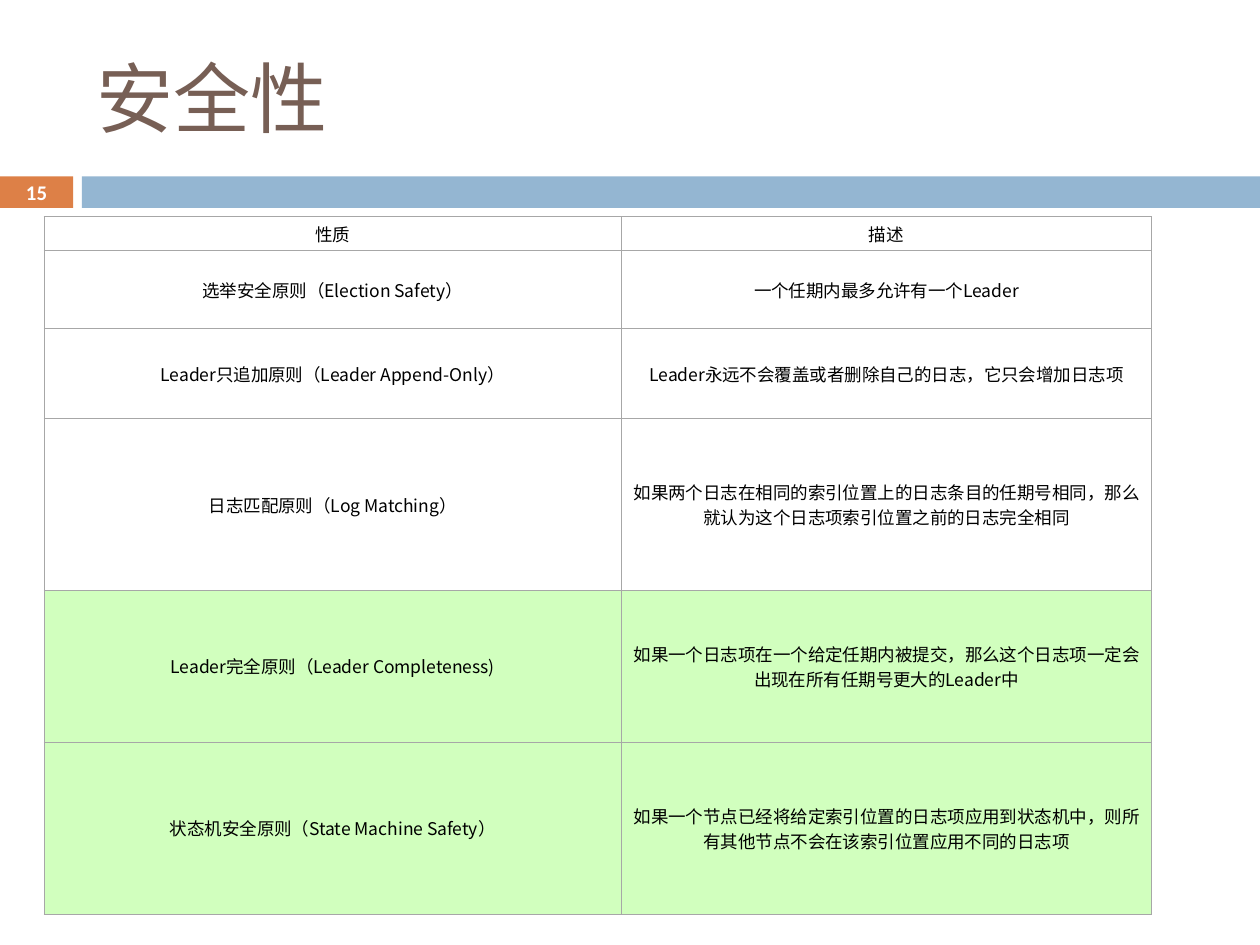
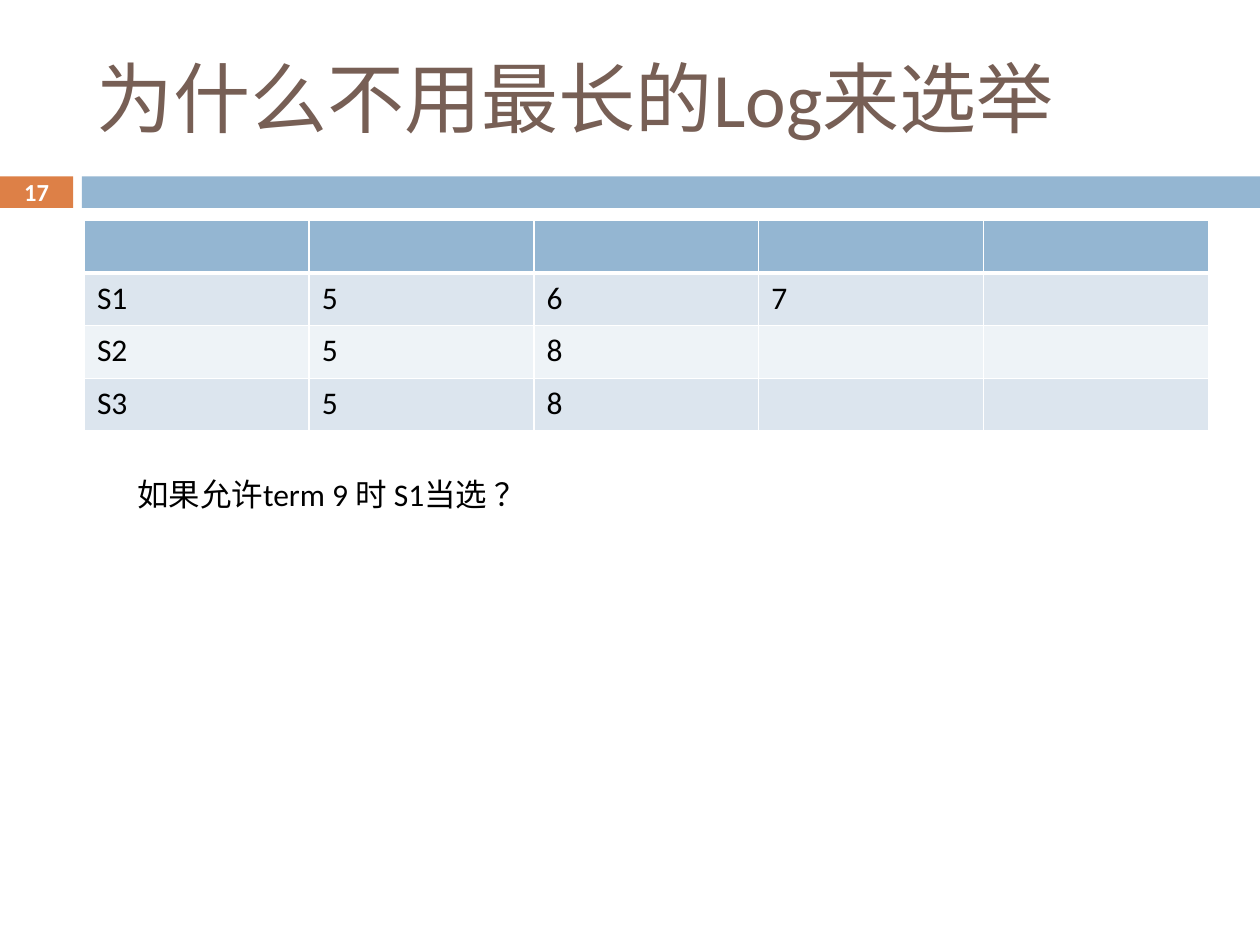
"""Build two slides on Raft safety: a table of properties and a log election question."""
from dataclasses import dataclass
from typing import Optional

import lxml.etree
import pptx
import pptx.dml.color
import pptx.enum.shapes
import pptx.enum.text
import pptx.oxml.ns
import pptx.util

Align = pptx.enum.text.PP_ALIGN
Anchor = pptx.enum.text.MSO_ANCHOR
COLS, ROWS = 100, 75
PRS_W, PRS_H = pptx.util.Inches(10), pptx.util.Inches(7.5)


@dataclass(frozen=True)
class Theme:
    """Colours, fonts and type sizes of the deck."""
    white: str = "FFFFFF"
    black: str = "000000"
    title: str = "775F55"
    orange: str = "DD8047"
    blue: str = "94B6D2"
    band_dark: str = "DCE5EE"
    band_light: str = "EEF3F7"
    green: str = "D1FFBE"
    grey: str = "A7A7A7"
    latin: str = "Calibri"
    cjk: str = "Noto Sans CJK SC"
    title_size: float = 44
    body_size: float = 18
    small_size: float = 10


@dataclass(frozen=True)
class Box:
    """Place on the grid, in columns and rows."""
    left: float
    top: float
    width: float
    height: float

    def place(self) -> tuple[int, int, int, int]:
        """Return the place in EMU."""
        return across(self.left), down(self.top), across(self.width), down(self.height)


@dataclass(frozen=True)
class Type:
    """Look of a paragraph."""
    size: float
    color: str
    font: str
    bold: bool = False
    align: Align = Align.LEFT


@dataclass(frozen=True)
class TableSpec:
    """Content and look of a table."""
    left: float
    top: float
    widths: list[float]
    heights: list[float]
    rows: list[list[str]]
    fills: list[str]
    style: Type
    border: str
    weight: float
    header_weight: float
    anchor: Anchor
    margins: tuple[float, float]


@dataclass(frozen=True)
class Page:
    """One slide of the deck."""
    title: str
    number: str
    number_size: float
    table: TableSpec
    question: Optional[str] = None


T = Theme()
TITLE_BOX = Box(6.7, 2.3, 89.2, 10.8)
NUMBER_BOX = Box(0, 13.9, 5.8, 2.7)
QUESTION_BOX = Box(9.9, 37.2, 53.7, 4)
BANDS = [(Box(0, 14, 5.8, 2.5), T.orange), (Box(6.5, 14, 93.5, 2.5), T.blue)]
TITLE = Type(T.title_size, T.title, T.latin)
BODY = Type(T.body_size, T.black, T.latin)

PROPERTIES = TableSpec(
    left=3.5, top=17.2, widths=[45.8, 42.1],
    heights=[2.7, 6.2, 7.1, 13.7, 12, 13.7],
    rows=[
        ["性质", "描述"],
        ["选举安全原则（Election Safety）", "一个任期内最多允许有一个Leader"],
        ["Leader只追加原则（Leader Append-Only）",
         "Leader永远不会覆盖或者删除自己的日志，它只会增加日志项"],
        ["日志匹配原则（Log Matching）",
         "如果两个日志在相同的索引位置上的日志条目的任期号相同，"
         "那么就认为这个日志项索引位置之前的日志完全相同"],
        ["Leader完全原则（Leader Completeness)",
         "如果一个日志项在一个给定任期内被提交，"
         "那么这个日志项一定会出现在所有任期号更大的Leader中"],
        ["状态机安全原则（State Machine Safety）",
         "如果一个节点已经将给定索引位置的日志项应用到状态机中，"
         "则所有其他节点不会在该索引位置应用不同的日志项"],
    ],
    fills=[T.white] * 4 + [T.green] * 2,
    style=Type(T.small_size, T.black, T.cjk, align=Align.CENTER),
    border=T.grey, weight=0.6, header_weight=0.6,
    anchor=Anchor.MIDDLE, margins=(0.5, 0.3),
)

LOGS = TableSpec(
    left=6.7, top=17.5, widths=[89.2 / 5] * 5, heights=[16.7 / 4] * 4,
    rows=[
        [""] * 5,
        ["S1", "5", "6", "7", ""],
        ["S2", "5", "8", "", ""],
        ["S3", "5", "8", "", ""],
    ],
    fills=[T.blue, T.band_dark, T.band_light, T.band_dark],
    style=BODY, border=T.white, weight=1, header_weight=3,
    anchor=Anchor.TOP, margins=(1, 0.5),
)

PAGES = [
    Page("安全性", "15", 11.9, PROPERTIES),
    Page("为什么不用最长的Log来选举", "17", 14, LOGS, "如果允许term 9 时 S1当选 ？"),
]


def across(cols: float) -> int:
    """Turn grid columns into EMU."""
    return round(PRS_W * cols / COLS)


def down(rows: float) -> int:
    """Turn grid rows into EMU."""
    return round(PRS_H * rows / ROWS)


def rgb(color: str) -> pptx.dml.color.RGBColor:
    """Turn a hex string into a colour."""
    return pptx.dml.color.RGBColor.from_string(color)


def write(tf, text: str, style: Type) -> None:
    """Put styled text in the first paragraph of a frame."""
    p = tf.paragraphs[0]
    p.text = text
    p.alignment = style.align
    p.font.size = pptx.util.Pt(style.size)
    p.font.name = style.font
    p.font.bold = style.bold
    p.font.color.rgb = rgb(style.color)


def add_band(s, box: Box, color: str) -> None:
    """Draw a plain filled rectangle."""
    sp = s.shapes.add_shape(pptx.enum.shapes.MSO_SHAPE.RECTANGLE, *box.place())
    sp.shadow.inherit = False
    sp.fill.solid()
    sp.fill.fore_color.rgb = rgb(color)
    sp.line.fill.background()


def add_text(s, box: Box, text: str, style: Type, anchor: Anchor = Anchor.MIDDLE):
    """Add a wrapped text box and return its frame."""
    tf = s.shapes.add_textbox(*box.place()).text_frame
    tf.word_wrap = True
    tf.vertical_anchor = anchor
    write(tf, text, style)
    return tf


def set_borders(cell, color: str, weights: dict[str, float]) -> None:
    """Set the border lines of a cell, keyed by side."""
    qn = pptx.oxml.ns.qn
    tc_pr = cell._tc.get_or_add_tcPr()
    for i, (side, weight) in enumerate(weights.items()):
        ln = lxml.etree.Element(qn(f"a:ln{side}"), w=str(pptx.util.Pt(weight)))
        fill = lxml.etree.SubElement(ln, qn("a:solidFill"))
        lxml.etree.SubElement(fill, qn("a:srgbClr"), val=color)
        tc_pr.insert(i, ln)


def add_table(s, spec: TableSpec) -> None:
    """Draw a table with its own fills and borders."""
    box = Box(spec.left, spec.top, sum(spec.widths), sum(spec.heights))
    table = s.shapes.add_table(len(spec.heights), len(spec.widths), *box.place()).table
    table.first_row = table.horz_banding = False
    for column, width in zip(table.columns, spec.widths):
        column.width = across(width)
    for row, height in zip(table.rows, spec.heights):
        row.height = down(height)
    for i, (texts, color) in enumerate(zip(spec.rows, spec.fills)):
        weights = {
            "L": spec.weight,
            "R": spec.weight,
            "T": spec.header_weight if i == 1 else spec.weight,
            "B": spec.header_weight if i == 0 else spec.weight,
        }
        for j, text in enumerate(texts):
            cell = table.cell(i, j)
            cell.vertical_anchor = spec.anchor
            cell.margin_left = cell.margin_right = across(spec.margins[0])
            cell.margin_top = cell.margin_bottom = down(spec.margins[1])
            write(cell.text_frame, text, spec.style)
            cell.fill.solid()
            cell.fill.fore_color.rgb = rgb(color)
            set_borders(cell, spec.border, weights)


def add_page(prs, page: Page) -> None:
    """Add one slide with title, bands, number and table."""
    s = prs.slides.add_slide(prs.slide_layouts[6])
    for box, color in BANDS:
        add_band(s, box, color)
    add_text(s, TITLE_BOX, page.title, TITLE)
    number = Type(page.number_size, T.white, T.latin, bold=True, align=Align.CENTER)
    tf = add_text(s, NUMBER_BOX, page.number, number)
    tf.margin_top = tf.margin_bottom = 0
    add_table(s, page.table)
    if page.question:
        tf = add_text(s, QUESTION_BOX, page.question, BODY, Anchor.TOP)
        tf.auto_size = pptx.enum.text.MSO_AUTO_SIZE.SHAPE_TO_FIT_TEXT


def main() -> None:
    """Build and save the deck."""
    prs = pptx.Presentation()
    prs.slide_width, prs.slide_height = PRS_W, PRS_H
    for page in PAGES:
        add_page(prs, page)
    prs.save("out.pptx")


if __name__ == "__main__":
    main()
